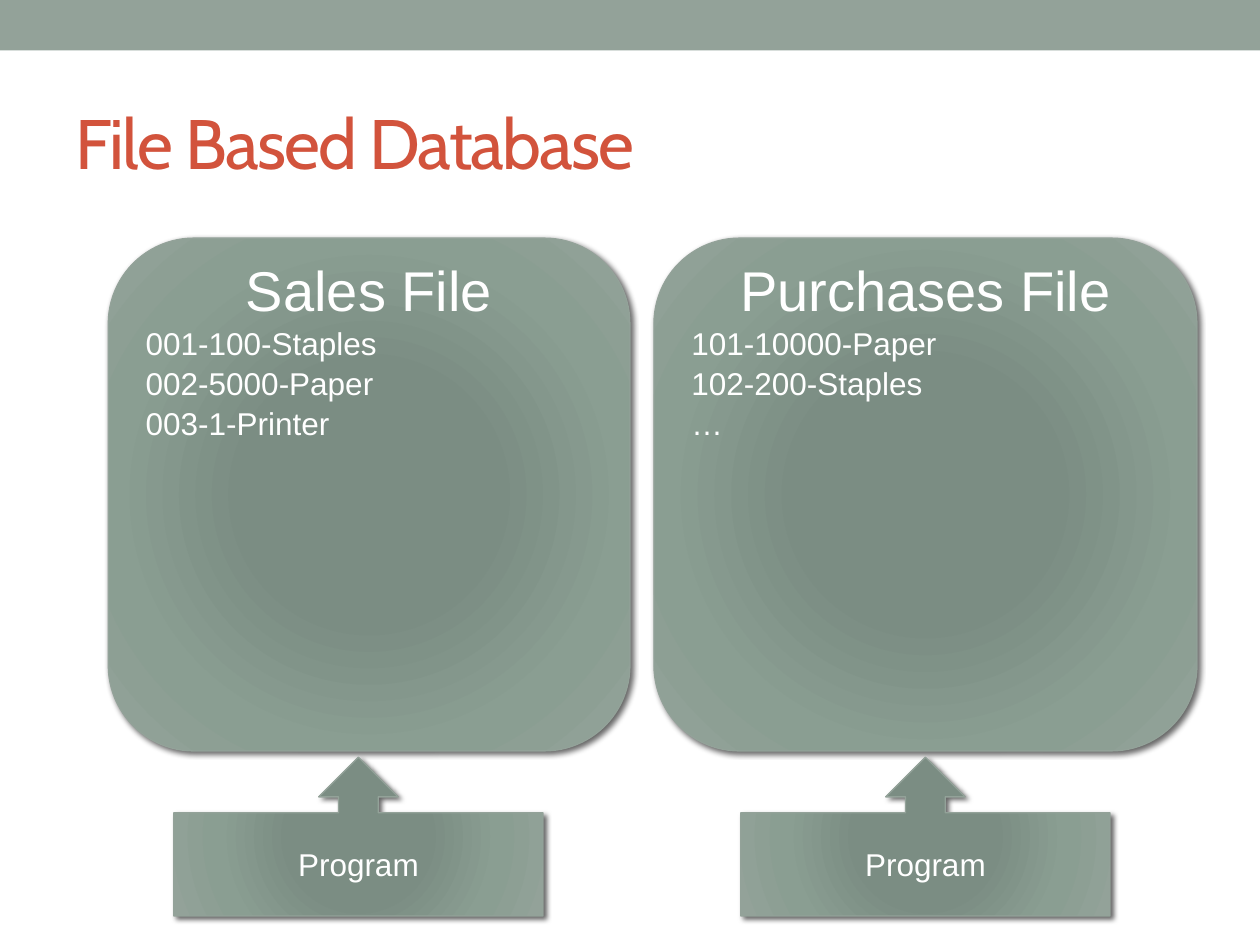
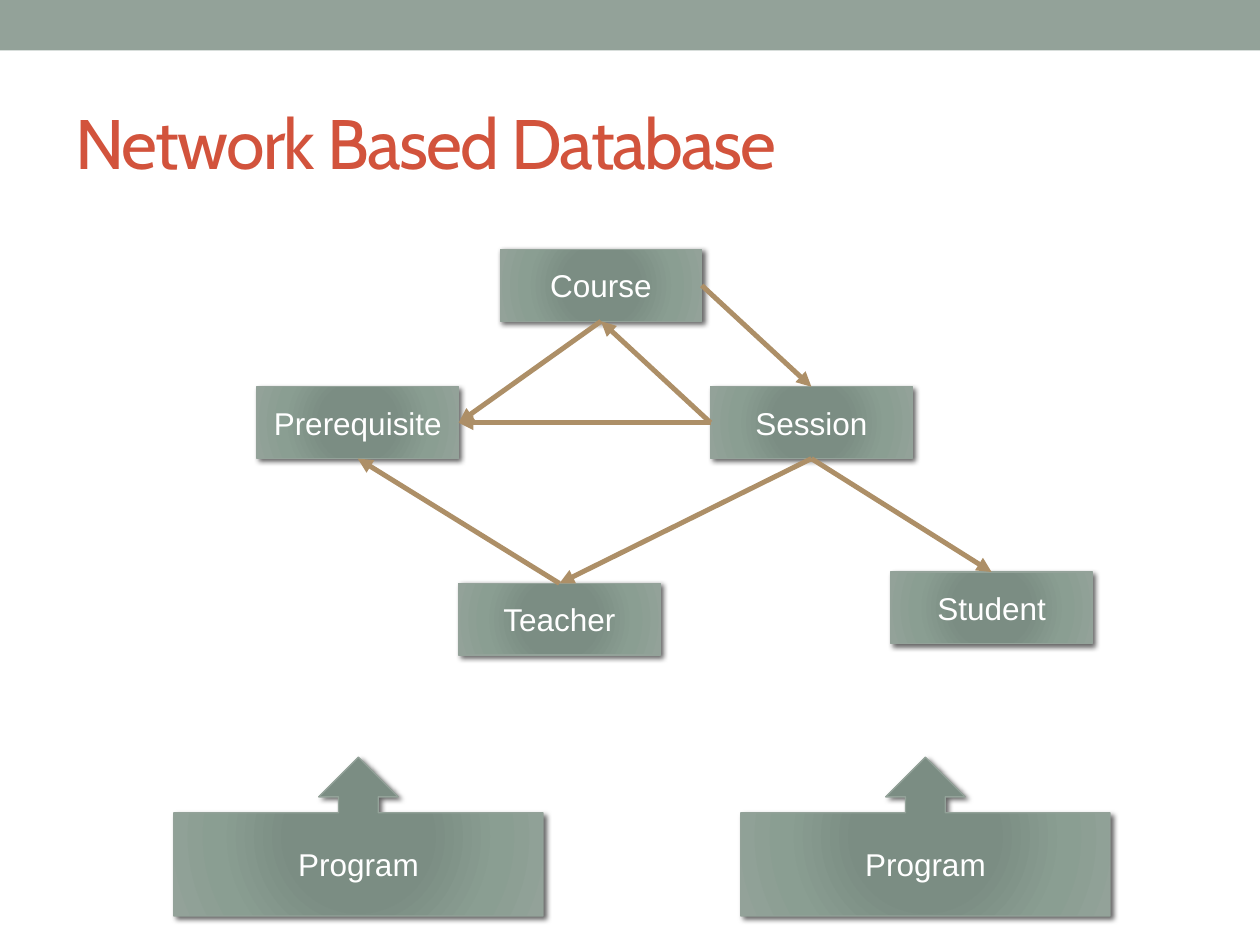
"""Build two slides on file based and network based databases."""
import pptx
import pptx.util
import pptx.oxml
import pptx.oxml.ns
import pptx.dml.color
import pptx.enum.shapes
import pptx.enum.text
from pptx.util import Inches

COLORS = {
    "band": "93A299",
    "title": "D2533C",
    "text": "FFFFFF",
    "link": "AD8F67",
    "shadow": "000000",
}
GLOW_STOPS = ((0, "7B8E82"), (34, "7B8D83"), (70, "8A9E92"), (100, "93A299"))
SHAPE = pptx.enum.shapes.MSO_SHAPE
ANCHOR = pptx.enum.text.MSO_ANCHOR
ALIGN = pptx.enum.text.PP_ALIGN
TOP, LEFT, BOTTOM, RIGHT = range(4)
NS = pptx.oxml.ns.nsdecls("a")


def rgb(name):
    return pptx.dml.color.RGBColor.from_string(COLORS[name])


def write(paragraph, text, size=18, font="Arial", color="text",
          align=ALIGN.CENTER, tracking=None, leading=None):
    paragraph.alignment = align
    if leading:
        paragraph.line_spacing = leading
    run = paragraph.add_run()
    run.text = text
    run.font.size = pptx.util.Pt(size)
    run.font.name = font
    run.font.color.rgb = rgb(color)
    if tracking:
        run.font._element.set("spc", str(tracking * 100))


class Deck:
    def __init__(self):
        self.show = pptx.Presentation()
        self.show.slide_width = Inches(10)
        self.show.slide_height = Inches(7.5)
        self.slide = None

    def start(self, heading):
        self.slide = self.show.slides.add_slide(self.show.slide_layouts[6])
        band = self.slide.shapes.add_shape(SHAPE.RECTANGLE, 0, 0, Inches(10), Inches(0.4))
        band.shadow.inherit = False
        band.fill.solid()
        band.fill.fore_color.rgb = rgb("band")
        band.line.fill.background()
        title = self.slide.shapes.add_textbox(Inches(0.5), Inches(0.58), Inches(9), Inches(1.08))
        title.text_frame.word_wrap = True
        title.text_frame.vertical_anchor = ANCHOR.MIDDLE
        write(title.text_frame.paragraphs[0], heading, size=40, font="Cabin",
              color="title", align=ALIGN.LEFT, tracking=-1)

    def panel(self, kind, left, top, width, height):
        panel = self.slide.shapes.add_shape(
            kind, Inches(left), Inches(top), Inches(width), Inches(height))
        panel.fill.background()
        properties = panel._element.spPr
        stops = "".join(
            f'<a:gs pos="{place * 1000}"><a:srgbClr val="{color}"/></a:gs>'
            for place, color in GLOW_STOPS)
        properties.replace(
            properties.find(pptx.oxml.ns.qn("a:noFill")),
            pptx.oxml.parse_xml(
                f'<a:gradFill {NS} rotWithShape="1"><a:gsLst>{stops}</a:gsLst>'
                '<a:path path="circle"><a:fillToRect l="100000" t="100000" '
                'r="100000" b="100000"/></a:path></a:gradFill>'))
        panel.line.color.rgb = rgb("band")
        panel.line.width = pptx.util.Pt(0.75)
        panel.shadow.inherit = False
        properties.find(pptx.oxml.ns.qn("a:effectLst")).append(pptx.oxml.parse_xml(
            f'<a:outerShdw {NS} blurRad="38100" dist="25400" dir="2700000" '
            f'rotWithShape="0"><a:srgbClr val="{COLORS["shadow"]}">'
            '<a:alpha val="60000"/></a:srgbClr></a:outerShdw>'))
        panel.text_frame.word_wrap = True
        panel.text_frame.vertical_anchor = ANCHOR.MIDDLE
        return panel

    def labelled(self, kind, label, *box):
        panel = self.panel(kind, *box)
        write(panel.text_frame.paragraphs[0], label)
        return panel

    def file(self, name, records, left, width):
        frame = self.panel(SHAPE.ROUNDED_RECTANGLE, left, 1.89, width, 4.07).text_frame
        frame.vertical_anchor = ANCHOR.TOP
        frame.margin_top = Inches(-0.09)
        write(frame.paragraphs[0], name, size=32, leading=1.05)
        for record in records:
            write(frame.add_paragraph(), record, align=ALIGN.LEFT, leading=1.05)

    def programs(self):
        for left in (1.38, 5.88):
            self.labelled(SHAPE.UP_ARROW_CALLOUT, "Program", left, 6.01, 2.93, 1.26)

    def link(self, source, source_side, target, target_side):
        link = self.slide.shapes.add_connector(
            pptx.enum.shapes.MSO_CONNECTOR.STRAIGHT, 0, 0, 0, 0)
        link.begin_connect(source, source_side)
        link.end_connect(target, target_side)
        link.line.color.rgb = rgb("link")
        link.line.width = pptx.util.Pt(2.83)
        link.line._get_or_add_ln().append(
            pptx.oxml.parse_xml(f'<a:tailEnd {NS} type="triangle"/>'))
        link._element.spPr.append(pptx.oxml.parse_xml(f"<a:effectLst {NS}/>"))


def file_based(deck):
    deck.start("File Based Database")
    deck.file("Purchases File", ("101-10000-Paper", "102-200-Staples", "…"), 5.19, 4.31)
    deck.file("Sales File", ("001-100-Staples", "002-5000-Paper", "003-1-Printer"), 0.86, 4.14)
    deck.programs()


def network_based(deck):
    deck.start("Network Based Database")
    deck.programs()
    places = {
        "Course": (3.97, 1.98),
        "Prerequisite": (2.04, 3.07),
        "Session": (5.64, 3.07),
        "Teacher": (3.64, 4.63),
        "Student": (7.07, 4.54),
    }
    records = {
        name: deck.labelled(SHAPE.RECTANGLE, name, left, top, 1.6, 0.57)
        for name, (left, top) in places.items()
    }
    for source, source_side, target, target_side in (
        ("Course", BOTTOM, "Prerequisite", RIGHT),
        ("Course", RIGHT, "Session", TOP),
        ("Session", LEFT, "Course", BOTTOM),
        ("Session", LEFT, "Prerequisite", RIGHT),
        ("Session", BOTTOM, "Teacher", TOP),
        ("Session", BOTTOM, "Student", TOP),
        ("Teacher", TOP, "Prerequisite", BOTTOM),
    ):
        deck.link(records[source], source_side, records[target], target_side)


def main():
    deck = Deck()
    file_based(deck)
    network_based(deck)
    deck.show.save("out.pptx")


if __name__ == "__main__":
    main()
